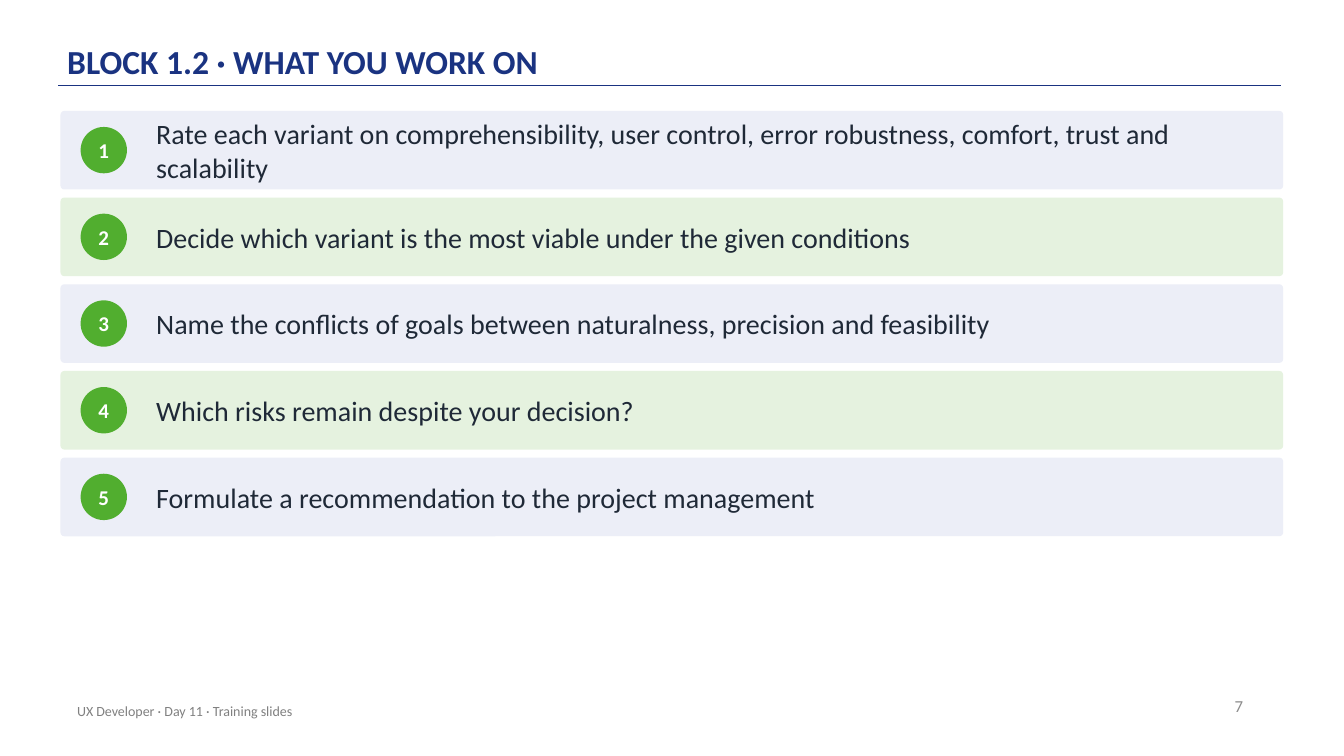
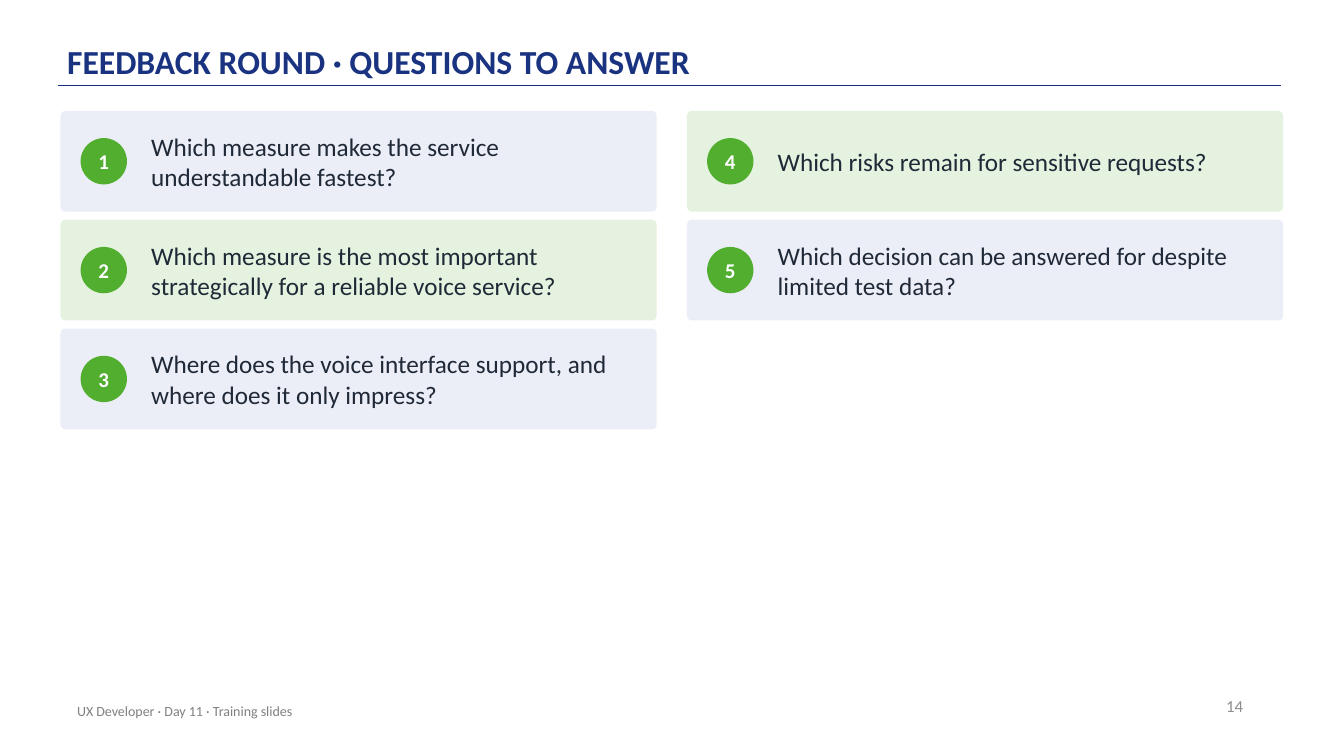
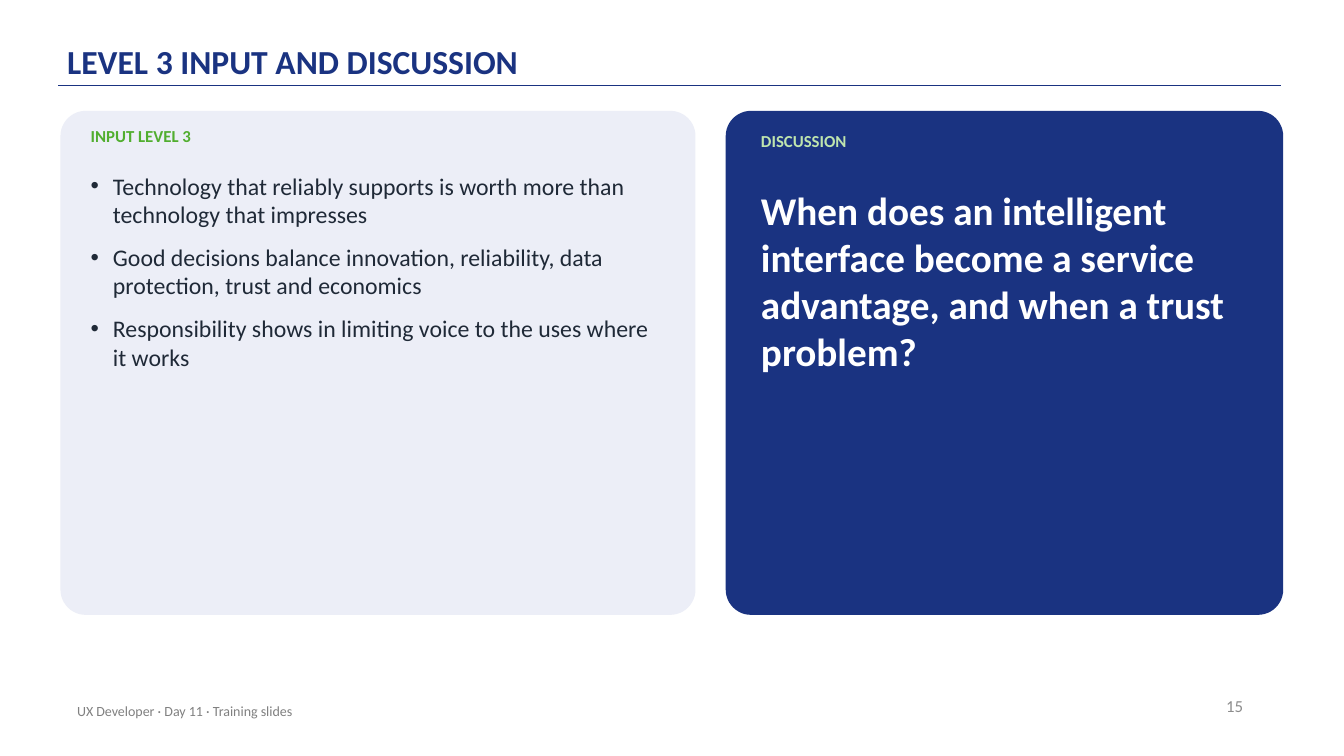
from dataclasses import dataclass

from lxml import etree
from pptx import Presentation
from pptx import slide as sl
from pptx.dml.color import RGBColor
from pptx.enum import shapes, text
from pptx.oxml import ns
from pptx.shapes.autoshape import Shape
from pptx.text import text as tx
from pptx.util import Pt

NAVY = RGBColor(0x1A, 0x33, 0x81)
GREEN = RGBColor(0x51, 0xAE, 0x2F)
LIGHT_GREEN = RGBColor(0xBF, 0xE5, 0xAE)
PALE_BLUE = RGBColor(0xEC, 0xEE, 0xF7)
PALE_GREEN = RGBColor(0xE5, 0xF2, 0xDF)
INK = RGBColor(0x1F, 0x29, 0x37)
FOOTER_GREY = RGBColor(0x80, 0x80, 0x80)
NUMBER_GREY = RGBColor(0x8C, 0x8C, 0x8C)
WHITE = RGBColor(0xFF, 0xFF, 0xFF)

FONT = "Calibri"
FOOTER = "UX Developer · Day 11 · Training slides"
LEFT, TOP, CONTENT_WIDTH = 43.2, 79.2, 873.4
COLUMN_GAP, ROW_GAP = 21.6, 5.76
BADGE_SIZE, BADGE_INSET = 33.12, 14.4
BULLET_INDENT = 15.84


@dataclass(frozen=True)
class Box:
    left: float
    top: float
    width: float
    height: float

    def lengths(self) -> tuple[Pt, Pt, Pt, Pt]:
        return Pt(self.left), Pt(self.top), Pt(self.width), Pt(self.height)


@dataclass(frozen=True)
class Style:
    size: float
    color: RGBColor
    bold: bool = False
    align: text.PP_ALIGN = text.PP_ALIGN.LEFT
    anchor: text.MSO_ANCHOR = text.MSO_ANCHOR.TOP
    margins: tuple[float, float] = (0, 0)
    space_after: float = 0


@dataclass(frozen=True)
class CardGrid:
    """Numbered cards that fill column after column."""
    columns: int
    rows: int
    card_height: float
    text_inset: float
    right_padding: float
    text_size: float


TITLE = Style(24, NAVY, bold=True, anchor=text.MSO_ANCHOR.BOTTOM, margins=(0, 2.16))
FOOTER_STYLE = Style(10, FOOTER_GREY, anchor=text.MSO_ANCHOR.MIDDLE, margins=(7.2, 3.6))
PAGE_NUMBER = Style(12, NUMBER_GREY, align=text.PP_ALIGN.RIGHT,
                    anchor=text.MSO_ANCHOR.MIDDLE, margins=(7.2, 3.6))
BADGE = Style(15, WHITE, bold=True, align=text.PP_ALIGN.CENTER,
              anchor=text.MSO_ANCHOR.MIDDLE)
BULLETS = Style(17, INK, space_after=10)
QUESTION = Style(28, WHITE, bold=True)


def write(frame: tx.TextFrame, lines: list[str], style: Style) -> None:
    frame.word_wrap = True
    frame.auto_size = text.MSO_AUTO_SIZE.NONE
    frame.vertical_anchor = style.anchor
    side, end = style.margins
    frame.margin_left = frame.margin_right = Pt(side)
    frame.margin_top = frame.margin_bottom = Pt(end)
    frame.text = "\n".join(lines)
    for paragraph in frame.paragraphs:
        paragraph.alignment = style.align
        paragraph.space_before = Pt(0)
        paragraph.space_after = Pt(style.space_after)
        paragraph.font.name = FONT
        paragraph.font.size = Pt(style.size)
        paragraph.font.bold = style.bold
        paragraph.font.color.rgb = style.color


def place(shape: Shape, box: Box) -> None:
    shape.left, shape.top, shape.width, shape.height = box.lengths()


def add_text(slide: sl.Slide, box: Box, content: str, style: Style) -> None:
    write(slide.shapes.add_textbox(*box.lengths()).text_frame, [content], style)


def add_filled(slide: sl.Slide, kind: shapes.MSO_SHAPE, box: Box, fill: RGBColor) -> Shape:
    shape = slide.shapes.add_shape(kind, *box.lengths())
    shape.shadow.inherit = False
    shape.fill.solid()
    shape.fill.fore_color.rgb = fill
    shape.line.fill.background()
    return shape


def add_panel(slide: sl.Slide, box: Box, fill: RGBColor) -> None:
    panel = add_filled(slide, shapes.MSO_SHAPE.ROUNDED_RECTANGLE, box, fill)
    panel.adjustments[0] = 0.05


def add_page(prs: Presentation, layout_index: int, title: str, number: int) -> sl.Slide:
    """Add a slide with the title, rule, footer and page number all slides share."""
    slide = prs.slides.add_slide(prs.slide_layouts[layout_index])
    heading = slide.shapes.title
    place(heading, Box(48, 8.64, 792, 51.84))
    write(heading.text_frame, [title], TITLE)
    heading.text_frame.paragraphs[0].line_spacing = 0.9

    rule = slide.shapes.add_connector(
        shapes.MSO_CONNECTOR.STRAIGHT, Pt(41.8), Pt(61.2), Pt(915.1), Pt(61.2))
    rule.line.color.rgb = NAVY
    rule.line.width = Pt(1)
    etree.SubElement(rule.element.spPr, ns.qn("a:effectLst"))

    add_text(slide, Box(679, 489.6, 216, 28.8), str(number), PAGE_NUMBER)
    add_text(slide, Box(48, 493.2, 482.4, 28.8), FOOTER, FOOTER_STYLE)
    return slide


def add_cards(slide: sl.Slide, grid: CardGrid, entries: list[str]) -> None:
    width = (CONTENT_WIDTH - (grid.columns - 1) * COLUMN_GAP) / grid.columns
    height = grid.card_height
    entry_style = Style(grid.text_size, INK, anchor=text.MSO_ANCHOR.MIDDLE)
    for index, entry in enumerate(entries):
        column, row = divmod(index, grid.rows)
        left = LEFT + column * (width + COLUMN_GAP)
        top = TOP + row * (height + ROW_GAP)
        add_panel(slide, Box(left, top, width, height),
                  PALE_GREEN if index % 2 else PALE_BLUE)
        badge = add_filled(
            slide, shapes.MSO_SHAPE.OVAL,
            Box(left + BADGE_INSET, top + (height - BADGE_SIZE) / 2, BADGE_SIZE, BADGE_SIZE),
            GREEN)
        write(badge.text_frame, [str(index + 1)], BADGE)
        text_width = width - grid.text_inset - grid.right_padding
        add_text(slide, Box(left + grid.text_inset, top, text_width, height),
                 entry, entry_style)


def add_bullets(slide: sl.Slide, box: Box, points: list[str]) -> None:
    body = slide.placeholders[1]
    slide.shapes.element.append(body.element)  # bring in front of the panel
    place(body, box)
    write(body.text_frame, points, BULLETS)
    for paragraph in body.text_frame.paragraphs:
        properties = paragraph.font._element.getparent()
        properties.set("marL", str(Pt(BULLET_INDENT)))
        properties.set("indent", str(-Pt(BULLET_INDENT)))
        bullet = etree.Element(ns.qn("a:buChar"), char="•")
        properties.insert(properties.index(paragraph.font._element), bullet)


def add_discussion(slide: sl.Slide) -> None:
    add_panel(slide, Box(LEFT, TOP, 453.6, 360), PALE_BLUE)
    add_text(slide, Box(64.8, 90, 410.4, 25.2), "INPUT LEVEL 3", Style(12, GREEN, bold=True))
    add_bullets(slide, Box(64.8, 122.4, 410.4, 302.4), [
        "Technology that reliably supports is worth more than technology that impresses",
        "Good decisions balance innovation, reliability, data protection, trust and economics",
        "Responsibility shows in limiting voice to the uses where it works",
    ])
    add_panel(slide, Box(518.4, TOP, 398.2, 360), NAVY)
    add_text(slide, Box(543.6, 93.6, 324, 25.2), "DISCUSSION",
             Style(12, LIGHT_GREEN, bold=True))
    add_text(slide, Box(543.6, 133.2, 347.8, 288),
             "When does an intelligent interface become a service advantage, "
             "and when a trust problem?", QUESTION)


def main() -> None:
    prs = Presentation()
    prs.slide_width, prs.slide_height = Pt(960), Pt(540)

    tasks = add_page(prs, 5, "BLOCK 1.2 · WHAT YOU WORK ON", 7)
    add_cards(tasks, CardGrid(1, 5, 56.16, 68.4, 18, 20), [
        "Rate each variant on comprehensibility, user control, error robustness, "
        "comfort, trust and scalability",
        "Decide which variant is the most viable under the given conditions",
        "Name the conflicts of goals between naturalness, precision and feasibility",
        "Which risks remain despite your decision?",
        "Formulate a recommendation to the project management",
    ])

    feedback = add_page(prs, 5, "FEEDBACK ROUND · QUESTIONS TO ANSWER", 14)
    add_cards(feedback, CardGrid(2, 3, 72, 64.8, 14.4, 18), [
        "Which measure makes the service understandable fastest?",
        "Which measure is the most important strategically for a reliable voice service?",
        "Where does the voice interface support, and where does it only impress?",
        "Which risks remain for sensitive requests?",
        "Which decision can be answered for despite limited test data?",
    ])

    add_discussion(add_page(prs, 1, "LEVEL 3 INPUT AND DISCUSSION", 15))
    prs.save("out.pptx")


if __name__ == "__main__":
    main()
